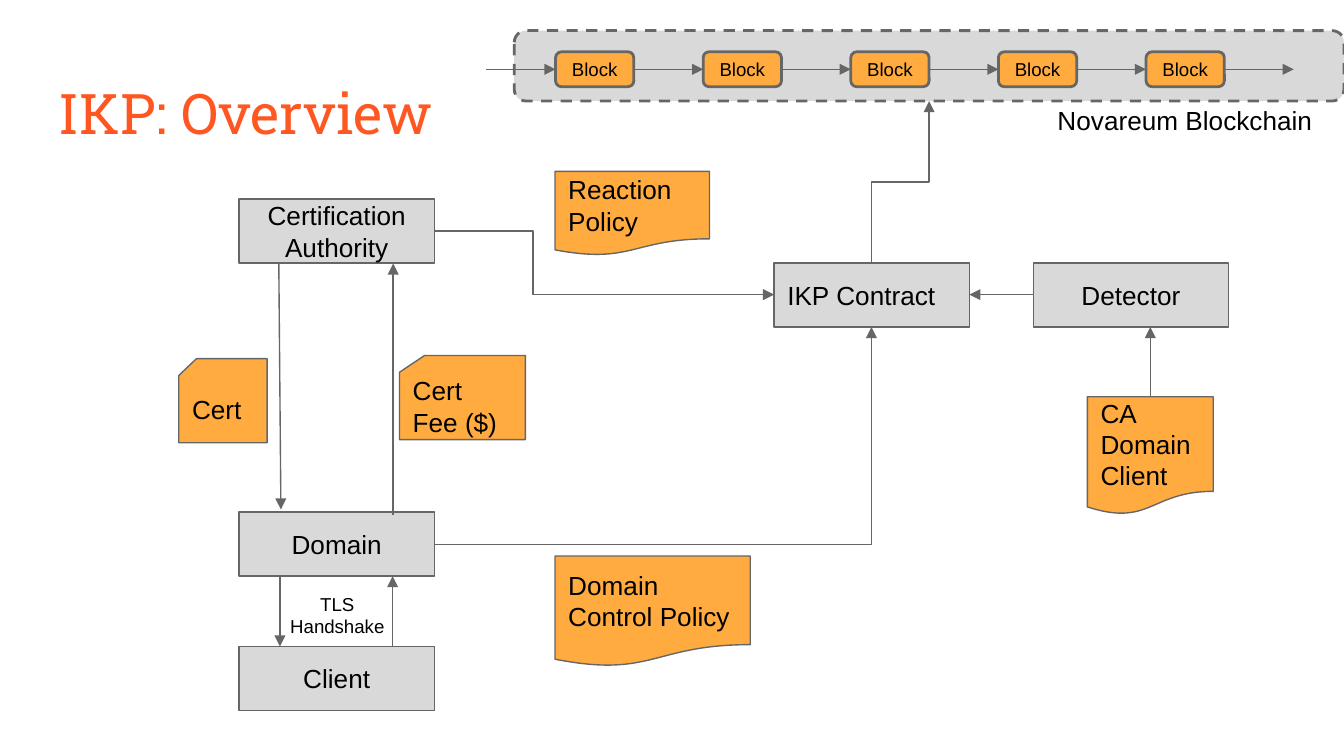
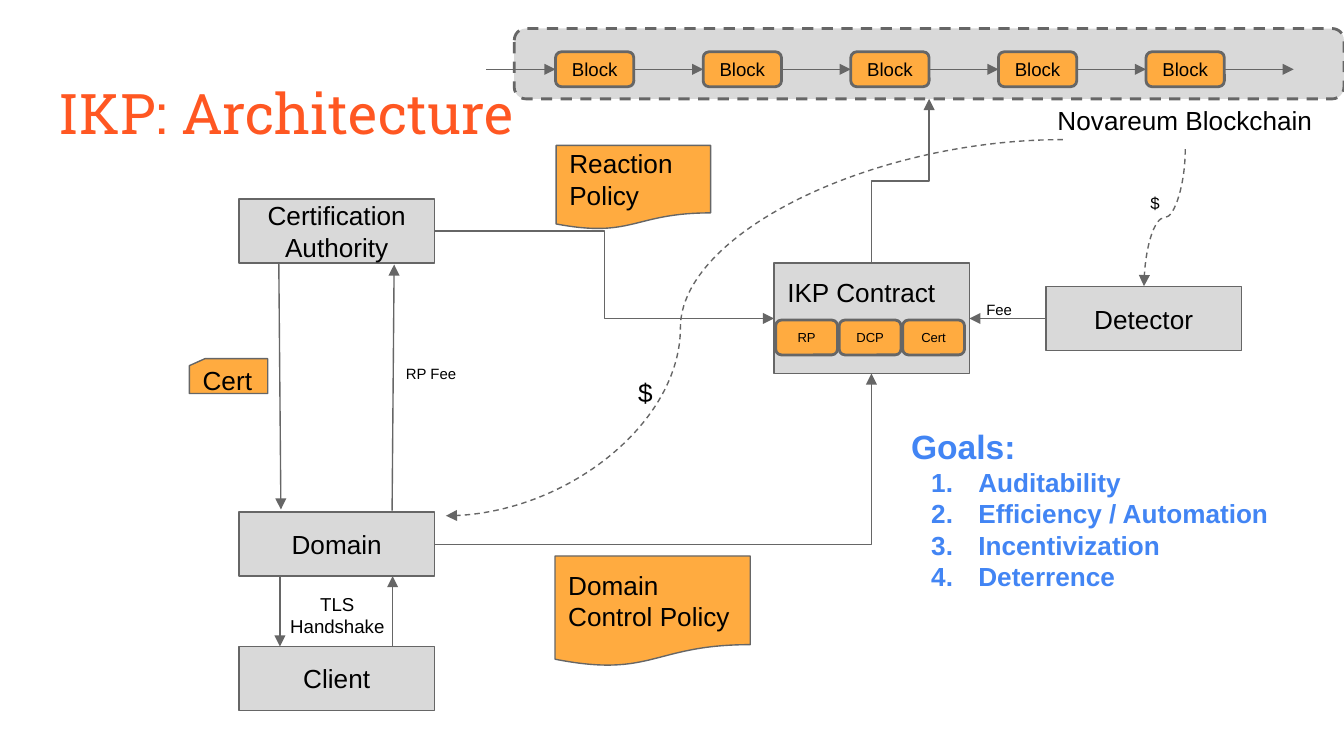
import pptx
import pptx.dml.color
import pptx.enum.dml
import pptx.enum.shapes
import pptx.enum.text
import pptx.oxml.ns
import pptx.util
from lxml import etree

Cm, Pt = pptx.util.Cm, pptx.util.Pt
qn = pptx.oxml.ns.qn
SHAPE = pptx.enum.shapes.MSO_SHAPE
CONNECTOR = pptx.enum.shapes.MSO_CONNECTOR
DASH = pptx.enum.dml.MSO_LINE.DASH
ANCHOR = pptx.enum.text.MSO_ANCHOR
ALIGN = pptx.enum.text.PP_ALIGN

GREY, ORANGE, LINE = "D9D9D9", "FFAB40", "666666"
BLACK, TITLE, BLUE = "000000", "FF5722", "4285F4"

# Looks: a look without a preset is a plain text box
BASE = {"preset": None, "fill": GREY, "weight": 0.75, "dash": None, "size": 14,
        "font": "Arial", "color": BLACK, "bold": False,
        "align": ALIGN.LEFT, "anchor": ANCHOR.MIDDLE}
LOOKS = {
    "title": {"size": 30, "font": "Roboto Slab", "color": TITLE, "anchor": ANCHOR.TOP},
    "actor": {"preset": SHAPE.RECTANGLE, "align": ALIGN.CENTER},
    "contract": {"preset": SHAPE.RECTANGLE},
    "tall contract": {"preset": SHAPE.RECTANGLE, "anchor": ANCHOR.TOP},
    "document": {"preset": SHAPE.FLOWCHART_DOCUMENT, "fill": ORANGE},
    "card": {"preset": SHAPE.FLOWCHART_CARD, "fill": ORANGE},
    "chain": {"preset": SHAPE.ROUNDED_RECTANGLE, "weight": 1.5, "dash": DASH},
    "block": {"preset": SHAPE.ROUNDED_RECTANGLE, "fill": ORANGE, "weight": 1.5,
              "size": 10, "align": ALIGN.CENTER},
    "chip": {"preset": SHAPE.ROUNDED_RECTANGLE, "fill": ORANGE, "weight": 1.5,
             "size": 7, "align": ALIGN.CENTER},
    "handshake": {"size": 10, "align": ALIGN.CENTER, "anchor": ANCHOR.TOP},
    "chain name": {"align": ALIGN.CENTER, "anchor": ANCHOR.BOTTOM},
    "label": {},
    "fee": {"size": 8},
    "small coin": {"size": 9},
    "goals": {"size": 18, "color": BLUE, "bold": True, "anchor": ANCHOR.TOP},
}

# Sizes and places in centimetres
TITLE_BOX = (0.86, 1.24, 23.67, 1.6)
ACTOR = (3.69, 1.21)
CHAIN_LEFT, CHAIN_SIZE = 9.72, (15.68, 1.33)
BLOCK_LEFT, BLOCK_TOP, BLOCK_STEP, BLOCK_COUNT = 10.5, 0.98, 2.79, 5
BLOCK_SIZE = (1.48, 0.66)
CHIP_LEFT, CHIP_TOP, CHIP_STEP, CHIP_SIZE = 14.66, 6.05, 1.2, (1.17, 0.66)

# Parts: look, text, (left, top, width, height)
SHARED_PARTS = [
    ("actor", "Certification Authority", (4.52, 3.76, *ACTOR)),
    ("actor", "Domain", (4.52, 9.68, *ACTOR)),
    ("actor", "Client", (4.52, 12.22, *ACTOR)),
    ("handshake", "TLS Handshake", (5.18, 10.95, 2.39, 0.66)),
    ("document", "Domain Control Policy", (10.49, 10.51, 3.69, 2.09)),
    ("chain name", "Novareum Blockchain", (19.18, 2.16, 6.43, 0.66)),
]
# Arrows: kind, start, end, then optional format values
SHARED_ARROWS = [
    (CONNECTOR.STRAIGHT, (5.27, 4.97), (5.31, 9.63), {}),
    (CONNECTOR.STRAIGHT, (5.29, 10.89), (5.29, 12.22), {}),
    (CONNECTOR.STRAIGHT, (7.42, 12.22), (7.42, 10.89), {}),
]
CORNER = {"turn": 180, "preset": "bentConnector2"}

SLIDES = [
    {
        "title": "IKP: Overview",
        "chain top": 0.58,
        "parts": [
            ("contract", "IKP Contract", (14.63, 4.97, *ACTOR)),
            ("actor", "Detector", (19.53, 4.97, *ACTOR)),
            ("document", "Reaction Policy", (10.49, 3.24, 2.92, 1.59)),
            ("document", "CA\nDomain\nClient", (20.55, 7.5, 2.38, 2.23)),
            ("card", "Cert", (3.38, 6.78, 1.67, 1.59)),
            ("card", "Cert Fee ($)", (7.55, 6.72, 2.38, 1.59)),
        ],
        "arrows": [
            (CONNECTOR.ELBOW, (8.21, 4.37), (14.63, 5.57), {"bend": 0.29}),
            (CONNECTOR.ELBOW, (8.21, 10.29), (16.47, 6.18), CORNER),
            (CONNECTOR.ELBOW, (16.47, 4.97), (17.56, 1.91), {"turn": 270, "bend": 0.5}),
            (CONNECTOR.STRAIGHT, (19.53, 5.57), (18.32, 5.57), {}),
            (CONNECTOR.STRAIGHT, (21.74, 7.5), (21.74, 6.18), {}),
            (CONNECTOR.STRAIGHT, (7.43, 9.73), (7.43, 4.98), {}),
        ],
        "chips": [],
        "goals": [],
    },
    {
        "title": "IKP: Architecture",
        "chain top": 0.54,
        "parts": [
            ("tall contract", "IKP Contract", (14.63, 4.97, 3.69, 2.09)),
            ("actor", "Detector", (19.77, 5.42, *ACTOR)),
            ("document", "Reaction Policy", (10.51, 2.75, 2.92, 1.59)),
            ("card", "Cert", (3.58, 6.78, 1.48, 0.66)),
            ("fee", "RP Fee", (7.42, 6.86, 1.57, 0.41)),
            ("fee", "Fee", (18.39, 5.64, 1.57, 0.41)),
            ("label", "$", (11.81, 7.21, 0.56, 0.41)),
            ("small coin", "$", (21.49, 3.63, 0.56, 0.41)),
        ],
        "arrows": [
            (CONNECTOR.ELBOW, (8.21, 4.37), (14.63, 6.02), {"bend": 0.5}),
            (CONNECTOR.ELBOW, (8.21, 10.29), (16.47, 7.06), CORNER),
            (CONNECTOR.ELBOW, (16.47, 4.97), (17.56, 1.87), {"turn": 270, "bend": 0.5}),
            (CONNECTOR.STRAIGHT, (19.77, 6.02), (18.32, 6.02), {}),
            (CONNECTOR.STRAIGHT, (7.41, 9.65), (7.45, 5.0), {}),
            (CONNECTOR.CURVE, (20.09, 2.64), (8.43, 9.75), {"bend": 0.62, "dash": DASH}),
            (CONNECTOR.CURVE, (22.4, 2.82), (21.62, 5.41),
             {"turn": 90, "bend": 0.5, "dash": DASH}),
        ],
        "chips": ["RP", "DCP", "Cert"],
        "goals": ["Auditability", "Efficiency / Automation", "Incentivization", "Deterrence"],
    },
]
GOALS_BOX = (16.97, 7.8, 7.82, 4.65)


def rgb(color):
    return pptx.dml.color.RGBColor.from_string(color)


def set_all(target, values):
    for name, value in values.items():
        setattr(target, name, value)


def format_line(line, weight, dash):
    line.color.rgb = rgb(LINE)
    set_all(line, {"width": Pt(weight), "dash_style": dash})


def write_line(paragraph, text, look):
    paragraph.alignment = look["align"]
    font = paragraph.add_run().font
    paragraph.runs[0].text = text
    set_all(font, {"name": look["font"], "size": Pt(look["size"]), "bold": look["bold"]})
    font.color.rgb = rgb(look["color"])


def add_part(slide, look_name, text, box):
    look = {**BASE, **LOOKS[look_name]}
    place = [Cm(value) for value in box]
    if look["preset"] is None:
        shape = slide.shapes.add_textbox(*place)
    else:
        shape = slide.shapes.add_shape(look["preset"], *place)
        shape.shadow.inherit = False
        shape.fill.solid()
        shape.fill.fore_color.rgb = rgb(look["fill"])
        format_line(shape.line, look["weight"], look["dash"])
    frame = shape.text_frame
    margins = dict.fromkeys(
        ("margin_left", "margin_top", "margin_right", "margin_bottom"), Cm(0.25))
    set_all(frame, {"word_wrap": True, "vertical_anchor": look["anchor"], **margins})
    for index, line in enumerate(text.split("\n") if text else []):
        paragraph = frame.add_paragraph() if index else frame.paragraphs[0]
        write_line(paragraph, line, look)
    return shape


def add_arrow(slide, kind, start, end, style):
    """Place the connector as it lies before its turn about the midpoint."""
    turn = style.get("turn", 0)
    dx, dy = end[0] - start[0], end[1] - start[1]
    dx, dy = {0: (dx, dy), 90: (dy, -dx), 180: (-dx, -dy), 270: (-dy, dx)}[turn]
    x, y = (start[0] + end[0]) / 2, (start[1] + end[1]) / 2
    corners = (x - dx / 2, y - dy / 2, x + dx / 2, y + dy / 2)
    connector = slide.shapes.add_connector(kind, *[Cm(value) for value in corners])
    format_line(connector.line, 0.75, style.get("dash"))

    properties = connector._element.spPr
    if turn:
        properties.find(qn("a:xfrm")).set("rot", str(turn * 60000))
    geometry = properties.find(qn("a:prstGeom"))
    if "preset" in style:
        geometry.set("prst", style["preset"])
    if "bend" in style:
        etree.SubElement(geometry.find(qn("a:avLst")), qn("a:gd"),
                         name="adj1", fmla=f"val {round(style['bend'] * 100000)}")
    etree.SubElement(properties.find(qn("a:ln")), qn("a:tailEnd"), type="triangle")
    etree.SubElement(properties, qn("a:effectLst"))


def add_chain(slide, top):
    add_part(slide, "chain", "", (CHAIN_LEFT, top, *CHAIN_SIZE))
    width, height = BLOCK_SIZE
    middle = BLOCK_TOP + height / 2
    for index in range(BLOCK_COUNT + 1):
        left = BLOCK_LEFT + index * BLOCK_STEP
        if index < BLOCK_COUNT:
            add_part(slide, "block", "Block", (left, BLOCK_TOP, *BLOCK_SIZE))
        add_arrow(slide, CONNECTOR.STRAIGHT,
                  (left - BLOCK_STEP + width, middle), (left, middle), {})


def add_goals(slide, goals):
    frame = add_part(slide, "goals", "Goals:", GOALS_BOX).text_frame
    look = {**BASE, **LOOKS["goals"], "size": 14}
    for goal in goals:
        paragraph = frame.add_paragraph()
        write_line(paragraph, goal, look)
        properties = paragraph._p.get_or_add_pPr()
        properties.set("marL", str(Cm(1.27)))
        properties.set("indent", str(Cm(-0.89)))
        color = etree.SubElement(properties, qn("a:buClr"))
        etree.SubElement(color, qn("a:srgbClr"), val=BLUE)
        etree.SubElement(properties, qn("a:buFont"), typeface="Arial")
        etree.SubElement(properties, qn("a:buAutoNum"), type="arabicPeriod")


def main():
    presentation = pptx.Presentation()
    set_all(presentation, {"slide_width": Cm(25.4), "slide_height": Cm(14.29)})
    for content in SLIDES:
        slide = presentation.slides.add_slide(presentation.slide_layouts[6])
        add_part(slide, "title", content["title"], TITLE_BOX)
        add_chain(slide, content["chain top"])
        for part in SHARED_PARTS + content["parts"]:
            add_part(slide, *part)
        for arrow in SHARED_ARROWS + content["arrows"]:
            add_arrow(slide, *arrow)
        for index, name in enumerate(content["chips"]):
            add_part(slide, "chip", name,
                     (CHIP_LEFT + index * CHIP_STEP, CHIP_TOP, *CHIP_SIZE))
        if content["goals"]:
            add_goals(slide, content["goals"])
    presentation.save("out.pptx")


if __name__ == "__main__":
    main()
